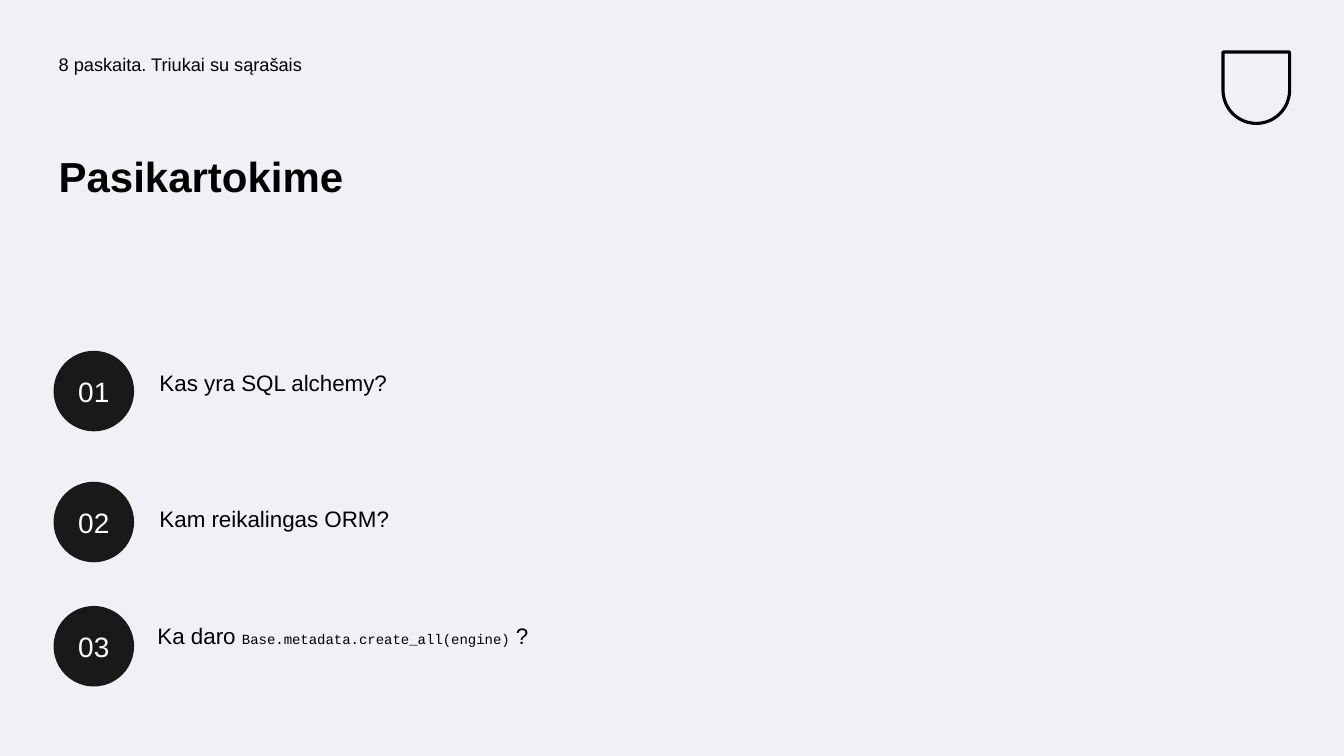
from pptx import Presentation
from pptx.dml.color import RGBColor
from pptx.enum.shapes import MSO_SHAPE
from pptx.enum.text import MSO_ANCHOR, PP_ALIGN
from pptx.util import Cm, Pt

CIRCLE = MSO_SHAPE.OVAL
SHIELD = MSO_SHAPE.ROUND_2_SAME_RECTANGLE
MIDDLE = MSO_ANCHOR.MIDDLE
CENTER = PP_ALIGN.CENTER
BLACK, DARK, WHITE, PALE = "000000", "191919", "FEFFFF", "F0F1F6"
SANS, MONO = "Arial", "Courier New"


def color(hex_code):
    return RGBColor.from_string(hex_code)


def write(shape, runs, ink=BLACK, bold=False, inset=0.13):
    """Fill the first paragraph with (text, size, font) runs."""
    frame = shape.text_frame
    frame.word_wrap = True
    frame.margin_left = frame.margin_right = Cm(inset)
    frame.margin_top = frame.margin_bottom = Cm(inset)
    para = frame.paragraphs[0]
    for text, size, font in runs:
        span = para.add_run()
        span.text = text
        span.font.size = Pt(size)
        span.font.name = font
        span.font.bold = bold
        span.font.color.rgb = color(ink)
    return para


deck = Presentation()
deck.slide_width, deck.slide_height = Cm(33.87), Cm(19.05)
page = deck.slides.add_slide(deck.slide_layouts[6])
page.background.fill.solid()
page.background.fill.fore_color.rgb = color(PALE)

# Plain shield in the top right corner
shield = page.shapes.add_shape(SHIELD, Cm(30.82), Cm(1.31), Cm(1.68), Cm(1.8))
shield.adjustments[0] = 0.5
shield.rotation = 180
shield.shadow.inherit = False
shield.fill.background()
shield.line.color.rgb = color(BLACK)
shield.line.width = Pt(2.25)

# Lecture name and title
box = page.shapes.add_textbox(Cm(1.35), Cm(1.27), Cm(15.6), Cm(1.24))
para = write(box, [("8 paskaita. Triukai su sąrašais", 13, SANS)])
para.line_spacing = 0.9
para.space_before = Pt(10)

box = page.shapes.add_textbox(Cm(1.35), Cm(3.81), Cm(14.3), Cm(3.78))
para = write(box, [("Pasikartokime", 30, SANS)], bold=True)
para.line_spacing = 0.9

# Numbered questions: circle top, text left, text top, runs
questions = [
    (8.84, 3.89, 9.25, [("Kas yra SQL alchemy?", 16, SANS)]),
    (12.14, 3.89, 12.67, [("Kam reikalingas ORM?", 16, SANS)]),
    (15.27, 3.84, 15.62, [
        ("Ka daro ", 16, SANS),
        ("Base.metadata.create_all(engine)", 10, MONO),
        (" ?", 16, SANS),
    ]),
]
for number, (circle_top, left, top, runs) in enumerate(questions, start=1):
    circle = page.shapes.add_shape(CIRCLE, Cm(1.35), Cm(circle_top), Cm(2.03), Cm(2.03))
    circle.shadow.inherit = False
    circle.fill.solid()
    circle.fill.fore_color.rgb = color(DARK)
    circle.line.fill.background()
    circle.text_frame.vertical_anchor = MIDDLE
    para = write(circle, [(f"{number:02}", 20, SANS)], ink=WHITE, inset=0)
    para.alignment = CENTER

    box = page.shapes.add_textbox(Cm(left), Cm(top), Cm(11.76), Cm(1.47))
    para = write(box, runs)
    para.line_spacing = 0.9
    para.space_before = Pt(10)

deck.save("out.pptx")
